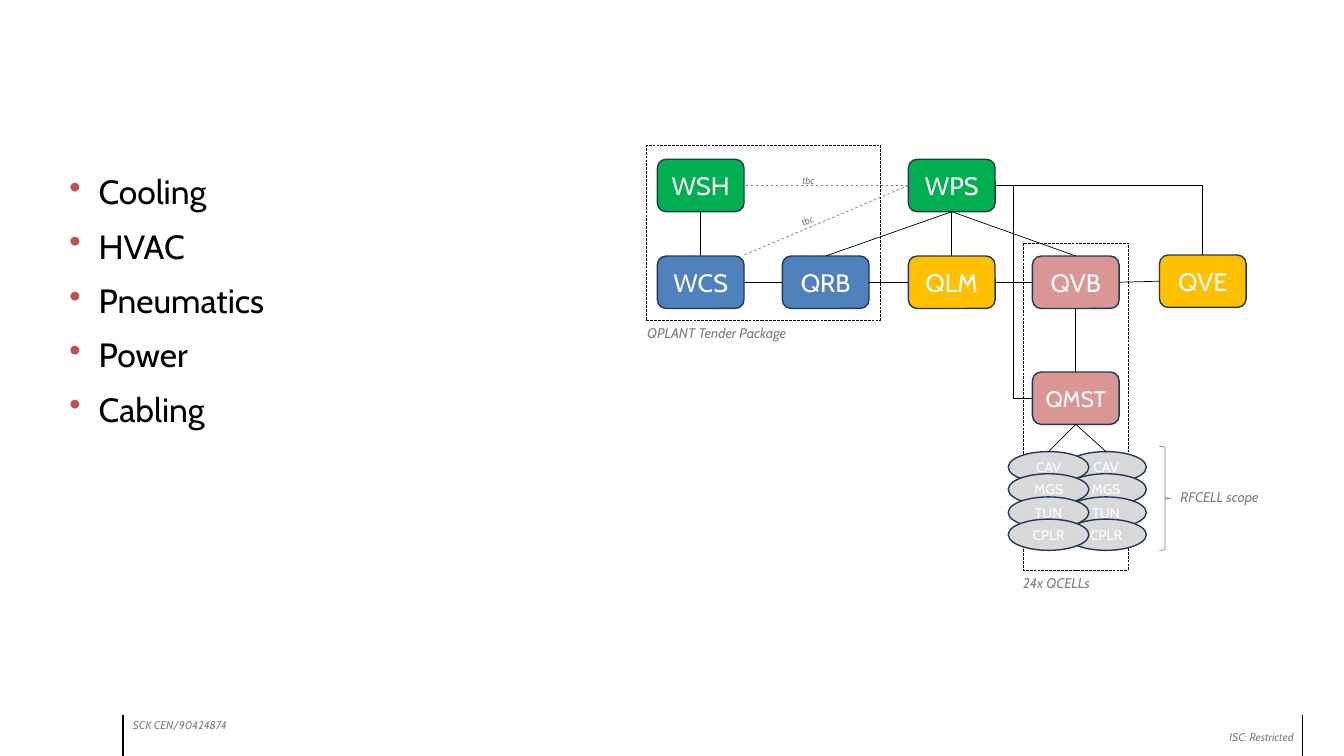
from dataclasses import dataclass
from typing import Optional

from lxml import etree
from pptx import Presentation
from pptx.dml.color import RGBColor
from pptx.enum.dml import MSO_LINE
from pptx.enum.shapes import MSO_CONNECTOR as CXN, MSO_SHAPE as SHAPE
from pptx.enum.text import MSO_ANCHOR, MSO_AUTO_SIZE, PP_ALIGN
from pptx.oxml.ns import qn
from pptx.util import Emu, Pt

PX = 9144
FONT = "Cabin"
COLORS = {
    "black": "000000", "white": "FFFFFF", "grey": "808080", "navy": "233953",
    "green": "00B050", "amber": "FFC000", "blue": "4F81BD", "pink": "D99694",
    "silver": "D9D9D9", "red": "C0504D",
}
TOP, LEFT, BOTTOM, RIGHT = range(4)
NODE_W, NODE_H = 86, 52
CELL_W, CELL_H = 80, 31


@dataclass
class Node:
    name: str
    x: int
    y: int
    color: str
    size: int = 18


@dataclass
class Link:
    start: str
    start_side: int
    end: str
    end_side: int
    kind: int = CXN.STRAIGHT
    color: str = "black"
    dash: Optional[int] = None


@dataclass
class Outline:
    kind: int
    x: int
    y: int
    w: int
    h: int
    color: str
    width: float
    dash: Optional[int] = None


@dataclass
class Label:
    text: str
    x: int
    y: int
    w: int
    h: int
    size: int
    align: int = PP_ALIGN.LEFT
    wrap: bool = False
    rotation: int = 0


NODES = [
    Node("WPS", 901, 158, "green"), Node("QLM", 901, 254, "amber"),
    Node("QRB", 776, 254, "blue"), Node("WSH", 652, 158, "green"),
    Node("WCS", 652, 254, "blue"), Node("QVB", 1024, 254, "pink"),
    Node("QMST", 1024, 369, "pink", 16), Node("QVE", 1150, 253, "amber"),
]
CELLS = ["CAV", "MGS", "TUN", "CPLR"]
CELL_TOPS = [448, 470, 493, 515]
STACKS = {"right": 1057, "left": 1000}
LINKS = [
    Link("left", TOP, "QMST", BOTTOM), Link("right", TOP, "QMST", BOTTOM),
    Link("QMST", TOP, "QVB", BOTTOM), Link("WCS", TOP, "WSH", BOTTOM),
    Link("WCS", RIGHT, "QRB", LEFT), Link("QRB", RIGHT, "QLM", LEFT),
    Link("QLM", RIGHT, "QVB", LEFT), Link("QVB", RIGHT, "QVE", LEFT),
    Link("QRB", TOP, "WPS", BOTTOM), Link("QLM", TOP, "WPS", BOTTOM),
    Link("QVB", TOP, "WPS", BOTTOM),
    Link("QMST", LEFT, "WPS", RIGHT, CXN.ELBOW),
    Link("WPS", RIGHT, "QVE", TOP, CXN.ELBOW),
    Link("WPS", LEFT, "WSH", RIGHT, color="grey", dash=MSO_LINE.DASH),
]
QCELL_FRAME = Outline(SHAPE.RECTANGLE, 1015, 241, 104, 325, "black", 0.25, MSO_LINE.LONG_DASH)
QPLANT_FRAME = Outline(SHAPE.RECTANGLE, 641, 144, 232, 174, "black", 0.25, MSO_LINE.LONG_DASH)
RFCELL_BRACE = Outline(SHAPE.RIGHT_BRACE, 1150, 443, 11, 103, "grey", 0.5)
LABELS = [
    Label("ISC: Restricted", 1111, 720, 182, 24, 8, PP_ALIGN.RIGHT, True),
    Label("SCK CEN/90424874", 122, 708, 157, 24, 8, wrap=True),
    Label("24x QCELLs", 1005, 565, 90, 27, 10),
    Label("QPLANT Tender Package", 632, 317, 174, 27, 10),
    Label("RFCELL scope", 1161, 480, 102, 27, 10),
    Label("tbc", 786, 168, 33, 22, 7),
    Label("tbc", 785, 208, 33, 22, 7, rotation=335),
]
TOPICS = ["Cooling", "HVAC", "Pneumatics", "Power", "Cabling"]


def px(*lengths: int) -> list[Emu]:
    return [Emu(n * PX) for n in lengths]


def rgb(name: str) -> RGBColor:
    return RGBColor.from_string(COLORS[name])


def style_run(p, size: int, color: str, italic: bool = False) -> None:
    for r in p.runs:
        r.font.name, r.font.size, r.font.italic = FONT, Pt(size), italic
        r.font.color.rgb = rgb(color)


def style_line(sp, color: str, width: float, dash: Optional[int] = None) -> None:
    sp.line.color.rgb = rgb(color)
    sp.line.width = Pt(width)
    if dash is not None:
        sp.line.dash_style = dash


def add_filled(shapes, kind: int, node: Node, w: int, h: int):
    sp = shapes.add_shape(kind, *px(node.x, node.y, w, h))
    sp.shadow.inherit = False
    sp.fill.solid()
    sp.fill.fore_color.rgb = rgb(node.color)
    style_line(sp, "navy", 1)
    tf = sp.text_frame
    tf.text = node.name
    tf.margin_left = tf.margin_right = tf.margin_top = tf.margin_bottom = 0
    tf.vertical_anchor = MSO_ANCHOR.MIDDLE
    p = tf.paragraphs[0]
    p.alignment = PP_ALIGN.CENTER
    style_run(p, node.size, "white")
    return sp


def add_stack(s, x: int):
    group = s.shapes.add_group_shape()
    cells = [add_filled(group.shapes, SHAPE.OVAL, Node(name, x, y, "silver", 10), CELL_W, CELL_H)
             for name, y in zip(CELLS, CELL_TOPS)]
    return cells[0]


def add_outline(s, outline: Outline) -> None:
    sp = s.shapes.add_shape(outline.kind, *px(outline.x, outline.y, outline.w, outline.h))
    sp.shadow.inherit = False
    sp.fill.background()
    style_line(sp, outline.color, outline.width, outline.dash)


def add_line(s, kind: int, ends: list[int], color: str, width: float, dash: Optional[int] = None):
    line = s.shapes.add_connector(kind, *px(*ends))
    style_line(line, color, width, dash)
    etree.SubElement(line._element.spPr, qn("a:effectLst"))
    return line


def add_link(s, link: Link, targets: dict) -> None:
    line = add_line(s, link.kind, [0, 0, 0, 0], link.color, 0.5, link.dash)
    line.begin_connect(targets[link.start], link.start_side)
    line.end_connect(targets[link.end], link.end_side)
    if link.kind == CXN.ELBOW and link.end_side == TOP:
        line._element.spPr.find(qn("a:prstGeom")).set("prst", "bentConnector2")


def add_label(s, label: Label) -> None:
    sp = s.shapes.add_textbox(*px(label.x, label.y, label.w, label.h))
    sp.rotation = label.rotation
    tf = sp.text_frame
    tf.text = label.text
    tf.word_wrap = label.wrap
    tf.auto_size = MSO_AUTO_SIZE.SHAPE_TO_FIT_TEXT
    p = tf.paragraphs[0]
    p.alignment = label.align
    style_run(p, label.size, "grey", True)


def add_topics(s) -> None:
    tf = s.shapes.add_textbox(*px(49, 165, 314, 305)).text_frame
    tf.word_wrap = True
    tf.text = "\n".join(TOPICS)
    for i, p in enumerate(tf.paragraphs):
        p.space_before = Pt(10 if i else 0)
        pPr = p._p.get_or_add_pPr()
        pPr.set("marL", str(39 * PX))
        pPr.set("indent", str(-29 * PX))
        color = etree.SubElement(pPr, qn("a:buClr"))
        etree.SubElement(color, qn("a:srgbClr"), val=COLORS["red"])
        etree.SubElement(pPr, qn("a:buChar"), char="•")
        style_run(p, 24, "black")


def main() -> None:
    prs = Presentation()
    prs.slide_width, prs.slide_height = px(1333, 750)
    s = prs.slides.add_slide(prs.slide_layouts[6])
    for x in (122, 1292):
        add_line(s, CXN.STRAIGHT, [x, 709, x, 753], "black", 1)
    add_outline(s, QCELL_FRAME)
    targets = {n.name: add_filled(s.shapes, SHAPE.ROUNDED_RECTANGLE, n, NODE_W, NODE_H) for n in NODES}
    targets |= {side: add_stack(s, x) for side, x in STACKS.items()}
    for link in LINKS:
        add_link(s, link, targets)
    to_corner = add_line(s, CXN.STRAIGHT, [901, 184, 738, 253], "grey", 0.5, MSO_LINE.DASH)
    to_corner.begin_connect(targets["WPS"], LEFT)
    add_outline(s, QPLANT_FRAME)
    add_outline(s, RFCELL_BRACE)
    for label in LABELS:
        add_label(s, label)
    add_topics(s)
    prs.save("out.pptx")


if __name__ == "__main__":
    main()
